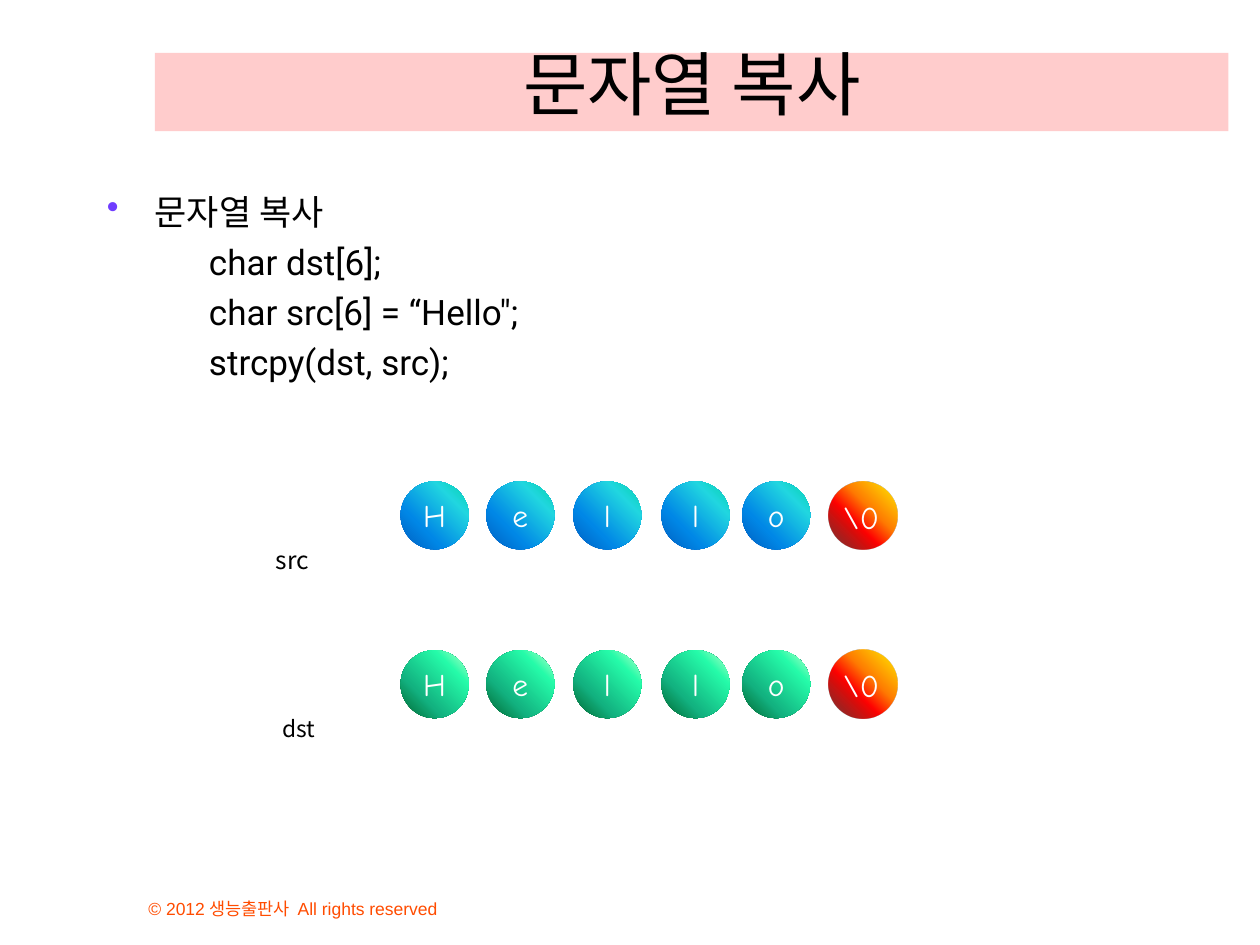
from lxml import etree
from pptx import Presentation
from pptx.dml.color import RGBColor
from pptx.enum import shapes, text
from pptx.oxml import ns
from pptx.util import Inches, Pt

BLACK = RGBColor(0x00, 0x00, 0x00)
WHITE = RGBColor(0xFF, 0xFF, 0xFF)
PINK = RGBColor(0xFF, 0xCC, 0xCC)
ORANGE = RGBColor(0xFF, 0x4C, 0x00)
VIOLET = RGBColor(0x70, 0x3D, 0xFF)

KOREAN, BODY, COMIC = "Noto Sans CJK KR", "Roboto", "Comic Neue"

# Gradient stops: position in percent, colour, opacity in percent
BLUE_STOPS = [(0, "03D4A8", 100), (25, "21D6E0", 100), (68, "0087E6", 100), (100, "005CBF", 100)]
GREEN_STOPS = [(0, "CCFFCC", 100), (25, "25FBA9", 100), (68, "12B280", 100), (100, "00642D", 100)]
RED_STOPS = [(0, "FFF200", 100), (40, "FF7A00", 100), (60, "FF0300", 100), (100, "4D0808", 80)]

TITLE = "문자열 복사"
TOPIC = "문자열 복사"
CODE = ["char dst[6];", "char src[6] = “Hello\";", "strcpy(dst, src);"]
COPYRIGHT = "© 2012 생능출판사  All rights reserved"

LETTERS = [("H", 3.18), ("e", 3.86), ("l", 4.55), ("l", 5.25), ("o", 5.89)]
TERMINATOR, TERMINATOR_LEFT = "\\0", 6.58
BALL = 0.54
# Ball top, ball colours, label, label box, label size
STRINGS = [
    (5.16, GREEN_STOPS, "dst", (2.14, 5.62, 0.57, 0.4), 13),
    (3.82, BLUE_STOPS, "src", (2.09, 4.28, 0.57, 0.42), 14),
]


def write(shape, lines, font, size, color=BLACK, align=text.PP_ALIGN.LEFT,
          anchor=text.MSO_ANCHOR.TOP, wrap=True, gap=0):
    frame = shape.text_frame
    frame.word_wrap = wrap
    frame.vertical_anchor = anchor
    for i, line in enumerate(lines):
        paragraph = frame.paragraphs[0] if i == 0 else frame.add_paragraph()
        paragraph.alignment = align
        if i and gap:
            paragraph.space_before = Pt(gap)
        run = paragraph.add_run()
        run.text = line
        run.font.name, run.font.size = font, Pt(size)
        run.font.color.rgb = color
        east_asian = etree.SubElement(run.font._element, ns.qn("a:ea"))
        east_asian.set("typeface", KOREAN)
    return frame


def add_box(slide, box):
    return slide.shapes.add_textbox(*map(Inches, box))


def add_plain_shape(slide, kind, box):
    shape = slide.shapes.add_shape(kind, *map(Inches, box))
    shape.shadow.inherit = False
    shape.line.fill.background()
    return shape


def add_ball(slide, left, top, stops):
    """Circle lit from its upper right corner."""
    ball = add_plain_shape(slide, shapes.MSO_SHAPE.OVAL, (left, top, BALL, BALL))
    ball.fill.gradient()
    gradient = ball._element.spPr.find(ns.qn("a:gradFill"))
    for child in list(gradient):
        gradient.remove(child)
    stop_list = etree.SubElement(gradient, ns.qn("a:gsLst"))
    for position, color, opacity in stops:
        stop = etree.SubElement(stop_list, ns.qn("a:gs"), pos=str(position * 1000))
        shade = etree.SubElement(stop, ns.qn("a:srgbClr"), val=color)
        if opacity < 100:
            etree.SubElement(shade, ns.qn("a:alpha"), val=str(opacity * 1000))
    circle = etree.SubElement(gradient, ns.qn("a:path"))
    circle.set("path", "circle")
    etree.SubElement(circle, ns.qn("a:fillToRect"), l="100000", b="100000")
    return ball


def set_indent(paragraph, margin, first_line=0, bullet=None, bullet_color=None):
    props = paragraph._p.get_or_add_pPr()
    props.set("marL", str(Inches(margin)))
    props.set("indent", str(Inches(first_line)))
    if bullet:
        color = etree.SubElement(props, ns.qn("a:buClr"))
        etree.SubElement(color, ns.qn("a:srgbClr"), val=str(bullet_color))
        etree.SubElement(props, ns.qn("a:buChar"), char=bullet)


def build():
    deck = Presentation()
    deck.slide_width, deck.slide_height = Inches(10), Inches(7.5)
    slide = deck.slides.add_slide(deck.slide_layouts[6])

    write(add_box(slide, (1.08, 6.92, 3.83, 0.42)), [COPYRIGHT], "Arial", 10,
          color=ORANGE, anchor=text.MSO_ANCHOR.BOTTOM)

    body = write(add_box(slide, (0.75, 1.46, 8.98, 4.54)), [TOPIC] + CODE, BODY, 20, gap=4.7)
    topic, *code_lines = body.paragraphs
    set_indent(topic, 0.38, -0.38, "•", VIOLET)
    for line in code_lines:
        line.level = 1
        set_indent(line, 0.81)

    banner = add_plain_shape(slide, shapes.MSO_SHAPE.RECTANGLE, (1.23, 0.42, 8.52, 0.62))
    banner.fill.solid()
    banner.fill.fore_color.rgb = PINK
    write(banner, [TITLE], KOREAN, 40, align=text.PP_ALIGN.CENTER,
          anchor=text.MSO_ANCHOR.BOTTOM)

    for top, stops, label, label_box, label_size in STRINGS:
        write(add_box(slide, label_box), [label], KOREAN, label_size, wrap=False)
        for letter, left in LETTERS:
            write(add_ball(slide, left, top, stops), [letter], COMIC, 18, color=WHITE,
                  align=text.PP_ALIGN.CENTER, anchor=text.MSO_ANCHOR.MIDDLE, wrap=False)
        add_ball(slide, TERMINATOR_LEFT, top, RED_STOPS)
        write(add_box(slide, (TERMINATOR_LEFT + 0.01, top + 0.08, 0.7, 0.55)),
              [TERMINATOR], COMIC, 18, color=WHITE)

    deck.save("out.pptx")


if __name__ == "__main__":
    build()
